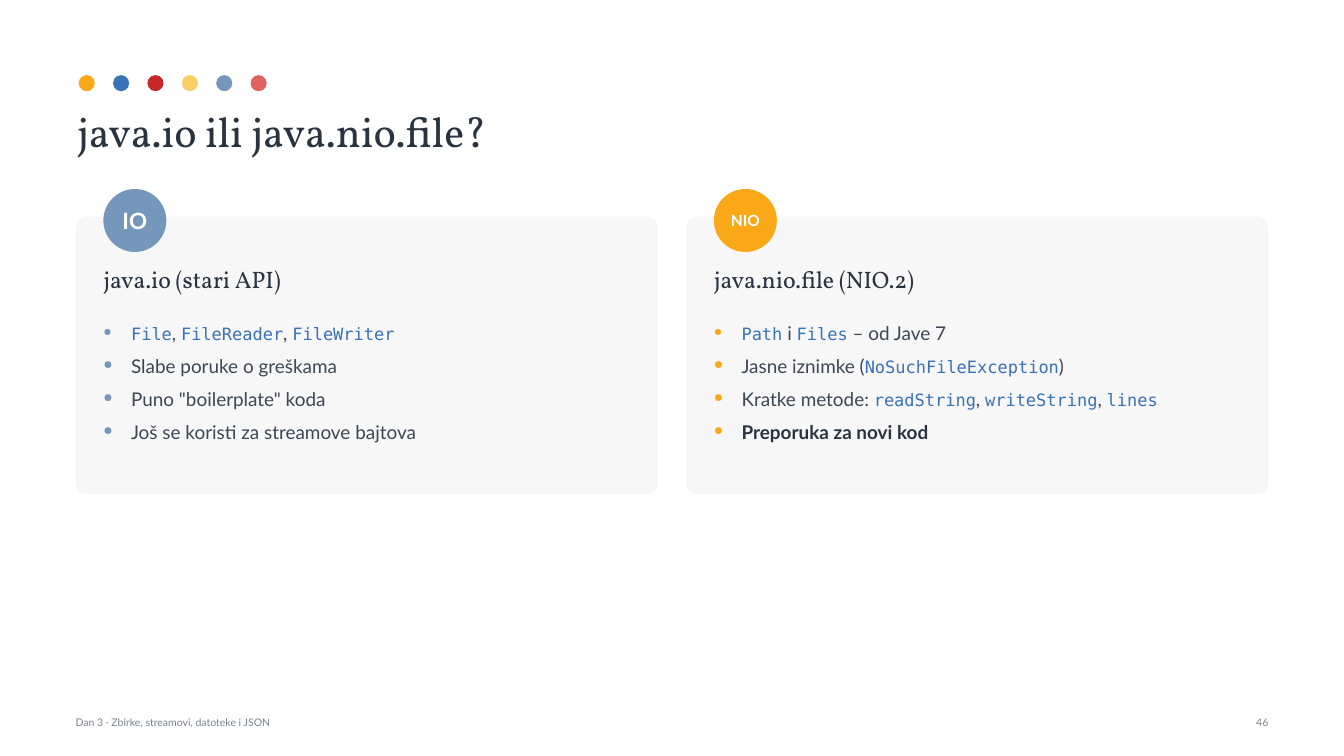
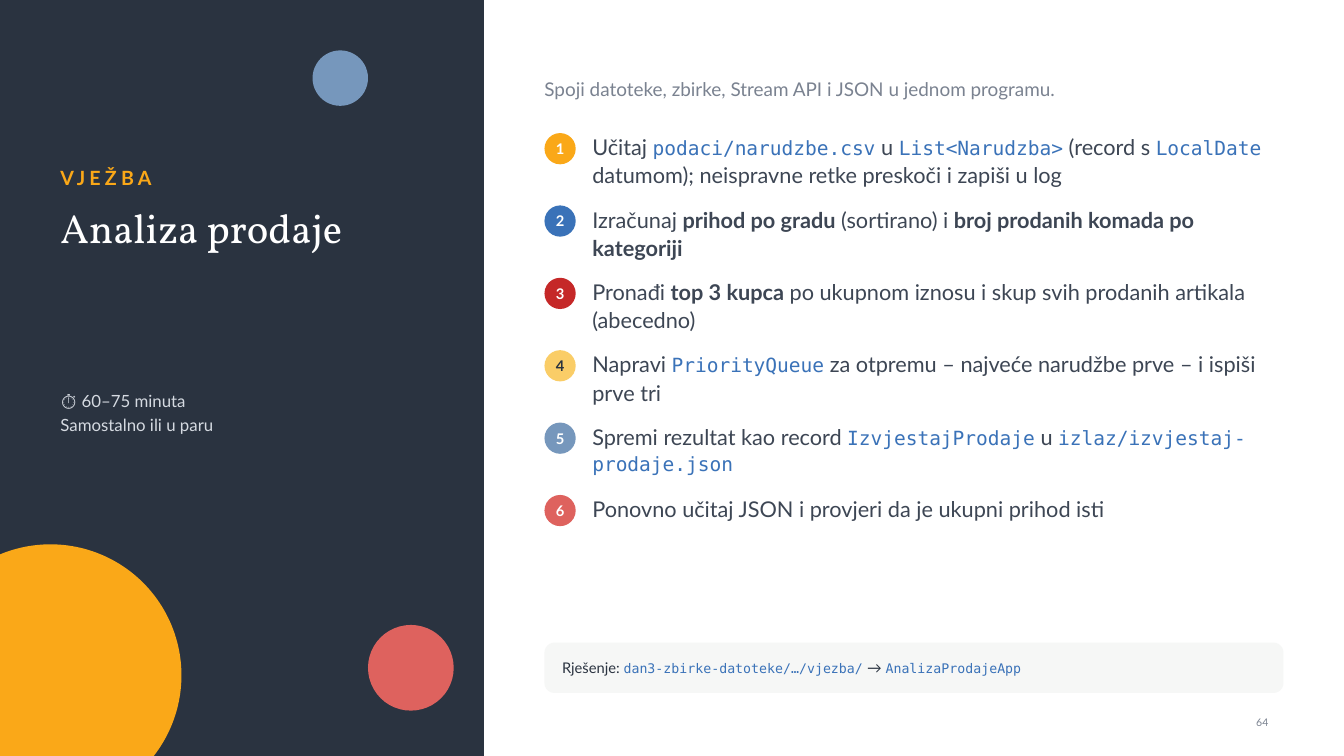
"""Build two course slides: a comparison of file APIs and an exercise."""
from dataclasses import dataclass

from lxml import etree
from pptx import Presentation
from pptx import util as u
from pptx.dml.color import RGBColor
from pptx.enum import shapes, text
from pptx.oxml import ns

Inches = u.Inches
OVAL = shapes.MSO_SHAPE.OVAL
RECT = shapes.MSO_SHAPE.RECTANGLE
ROUND = shapes.MSO_SHAPE.ROUNDED_RECTANGLE


@dataclass(frozen=True)
class Theme:
    """Colours, fonts and type sizes of the slides."""
    ink: str = "2A3340"
    body: str = "3D4654"
    mute: str = "7A8290"
    mist: str = "D5DAE1"
    panel: str = "F6F7F6"
    white: str = "FFFFFF"
    gold: str = "FAA818"
    blue: str = "3A72B8"
    red: str = "C52828"
    sand: str = "FACD67"
    steel: str = "7697BC"
    coral: str = "DE625E"
    sans: str = "Lato"
    serif: str = "Vollkorn"
    mono: str = "DejaVu Sans Mono"
    title: float = 60
    cover: float = 58
    head: float = 34
    task: float = 31
    label: float = 28
    item: float = 27
    meta: float = 24
    note: float = 21
    foot: float = 15


T = Theme()
HUES = (T.gold, T.blue, T.red, T.sand, T.steel, T.coral)

TITLE = "java.io ili java.nio.file?"
FOOT = "Dan 3 · Zbirke, streamovi, datoteke i JSON"
CARDS = [
    {"tag": "IO", "size": 32, "hue": T.steel, "head": "java.io (stari API)", "items": [
        [("File", "code"), ", ", ("FileReader", "code"), ", ", ("FileWriter", "code")],
        ["Slabe poruke o greškama"],
        ['Puno "boilerplate" koda'],
        ["Još se koristi za streamove bajtova"],
    ]},
    {"tag": "NIO", "size": 22, "hue": T.gold, "head": "java.nio.file (NIO.2)", "items": [
        [("Path", "code"), " i ", ("Files", "code"), " – od Jave 7"],
        ["Jasne iznimke (", ("NoSuchFileException", "code"), ")"],
        ["Kratke metode: ", ("readString", "code"), ", ", ("writeString", "code"), ", ",
         ("lines", "code")],
        [("Preporuka za novi kod", "key")],
    ]},
]

LABEL = "VJEŽBA"
NAME = "Analiza prodaje"
META = [["⏱ 60–75 minuta"], ["Samostalno ili u paru"]]
INTRO = "Spoji datoteke, zbirke, Stream API i JSON u jednom programu."
TASKS = [
    ["Učitaj ", ("podaci/narudzbe.csv", "code"), " u ", ("List<Narudzba>", "code"),
     " (record s ", ("LocalDate", "code"),
     " datumom); neispravne retke preskoči i zapiši u log"],
    ["Izračunaj ", ("prihod po gradu", "bold"), " (sortirano) i ",
     ("broj prodanih komada po kategoriji", "bold")],
    ["Pronađi ", ("top 3 kupca", "bold"),
     " po ukupnom iznosu i skup svih prodanih artikala (abecedno)"],
    ["Napravi ", ("PriorityQueue", "code"),
     " za otpremu – najveće narudžbe prve – i ispiši prve tri"],
    ["Spremi rezultat kao record ", ("IzvjestajProdaje", "code"), " u ",
     ("izlaz/izvjestaj-prodaje.json", "code")],
    ["Ponovno učitaj JSON i provjeri da je ukupni prihod isti"],
]
ANSWER = ["Rješenje: ", ("dan3-zbirke-datoteke/…/vjezba/", "code"), " → ",
          ("AnalizaProdajeApp", "code")]
BALLS = [
    (-1.6, 10.8, 5.2, T.gold),
    (6.2, 1, 1.1, T.steel),
    (7.3, 12.4, 1.7, T.coral),
]


def draw(home, kind, x, y, w, h, hue, bend=None):
    """Add a plain filled shape."""
    form = home.shapes.add_shape(kind, Inches(x), Inches(y), Inches(w), Inches(h))
    form.shadow.inherit = False
    form.fill.solid()
    form.fill.fore_color.rgb = RGBColor.from_string(hue)
    form.line.fill.background()
    if bend is not None:
        form.adjustments[0] = bend


def bullet(para, hue):
    """Give a paragraph a coloured hanging bullet."""
    props = para._p.get_or_add_pPr()
    props.set("marL", str(Inches(0.55)))
    props.set("indent", str(-Inches(0.55)))
    tint = etree.SubElement(props, ns.qn("a:buClr"))
    etree.SubElement(tint, ns.qn("a:srgbClr"), val=hue)
    etree.SubElement(props, ns.qn("a:buSzPct"), val="62000")
    etree.SubElement(props, ns.qn("a:buChar"), char="●")


def add_run(para, part, size, hue, face, bold, track):
    """Add one run in its base, code, bold or key style."""
    words, style = (part, "") if isinstance(part, str) else part
    run = para.add_run()
    run.text = words
    font = run.font
    code = style == "code"
    font.name = T.mono if code else face
    font.size = u.Pt(size * 0.9 if code else size)
    font.bold = bold or style in ("bold", "key")
    tone = {"code": T.blue, "key": T.ink}.get(style, hue)
    font.color.rgb = RGBColor.from_string(tone)
    if track:
        run._r.get_or_add_rPr().set("spc", str(track * 100))


def write(slide, x, y, w, h, lines, size, hue, face=T.sans, bold=False, lead=None,
          after=None, side=None, mid=False, pad=0, dot=None, track=0):
    """Add a text box; lines is a string or a list of run lists."""
    box = slide.shapes.add_textbox(Inches(x), Inches(y), Inches(w), Inches(h))
    frame = box.text_frame
    frame.word_wrap = True
    frame.margin_left = frame.margin_right = Inches(pad)
    frame.margin_top = frame.margin_bottom = Inches(pad)
    if mid:
        frame.vertical_anchor = text.MSO_ANCHOR.MIDDLE
    for i, parts in enumerate([[lines]] if isinstance(lines, str) else lines):
        para = frame.add_paragraph() if i else frame.paragraphs[0]
        if lead:
            para.line_spacing = lead
        if after:
            para.space_after = u.Pt(after)
        if side:
            para.alignment = side
        if dot:
            bullet(para, dot)
        for part in parts:
            add_run(para, part, size, hue, face, bold, track)


def badge(slide, x, y, d, words, size, hue, tone=T.white):
    """Add a disc with a centred bold label."""
    draw(slide, OVAL, x, y, d, d, hue)
    write(slide, x, y, d, d, words, size, tone, bold=True, mid=True,
          side=text.PP_ALIGN.CENTER)


def number(slide, page):
    """Add the page number."""
    write(slide, 22.66, 14.2, 2.5, 0.45, page, T.foot, T.mute,
          side=text.PP_ALIGN.RIGHT)


def compare(slide):
    """Fill the slide with the two API cards."""
    group = slide.shapes.add_group_shape()
    for i, hue in enumerate(HUES):
        draw(group, OVAL, 1.56 + 3.41 * i / 5, 1.49, 0.32, 0.32, hue)
    write(slide, 1.43, 2, 23.8, 1.2, TITLE, T.title, T.ink, T.serif, pad=0.1)
    wide, gap = 11.55, 0.56
    for i, card in enumerate(CARDS):
        left = 1.5 + i * (wide + gap)
        x = left + 0.55
        draw(slide, ROUND, left, 4.3, wide, 5.51, T.panel, 0.04)
        badge(slide, x, 3.75, 1.25, card["tag"], card["size"], card["hue"])
        write(slide, x, 5.25, 10.46, 1, card["head"], T.head, T.ink, T.serif)
        write(slide, x, 6.35, 10.55, 3.16, card["items"], T.item, T.body,
              lead=1.08, after=12, dot=card["hue"])
    write(slide, 1.5, 14.2, 16, 0.45, FOOT, T.foot, T.mute)
    number(slide, "46")


def exercise(slide):
    """Fill the slide with the side band and the numbered tasks."""
    draw(slide, RECT, 0, 0, 9.6, 15, T.ink)
    for x, y, d, hue in BALLS:
        draw(slide, OVAL, x, y, d, d, hue)
    write(slide, 1.2, 3.3, 7.6, 0.6, LABEL, T.label, T.gold, bold=True, track=6)
    write(slide, 1.2, 4.1, 7.4, 3.4, NAME, T.cover, T.white, T.serif, lead=0.95)
    write(slide, 1.2, 7.7, 7.4, 1.6, META, T.meta, T.mist, lead=1.15)
    left, wide = 10.8, 14.66
    write(slide, left, 1.5, wide, 1, INTRO, T.item, T.mute, lead=1.1)
    last = len(TASKS) - 1
    for i, (task, hue) in enumerate(zip(TASKS, HUES)):
        y = 2.64 + 7.18 * i / last
        tone = T.ink if hue == T.sand else T.white
        badge(slide, left, y, 0.62, str(i + 1), T.note, hue, tone)
        write(slide, left + 0.95, y - 0.02, wide - 1, 0.66 if i == last else 1.22,
              [task], T.task, T.body, lead=1.08)
    draw(slide, ROUND, left, 12.75, wide, 1, T.panel, 0.2)
    write(slide, left + 0.35, 12.75, wide - 0.5, 1, [ANSWER], T.note, T.ink, mid=True)
    number(slide, "64")


def main():
    """Build and save the deck."""
    deck = Presentation()
    deck.slide_width, deck.slide_height = Inches(26.66), Inches(15)
    for fill in (compare, exercise):
        slide = deck.slides.add_slide(deck.slide_layouts[6])
        back = slide.background.fill
        back.solid()
        back.fore_color.rgb = RGBColor.from_string(T.white)
        fill(slide)
    deck.save("out.pptx")


if __name__ == "__main__":
    main()
